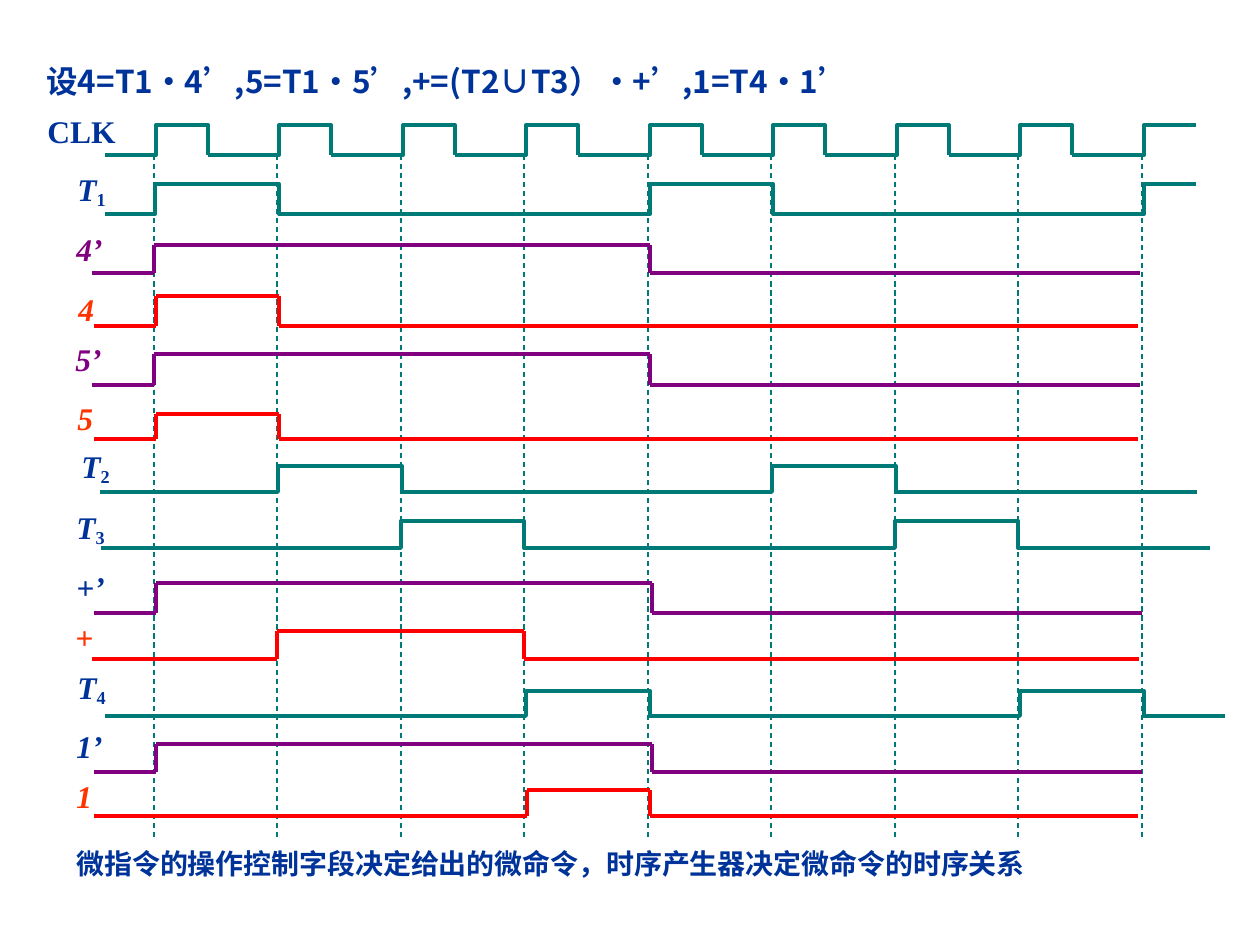
from dataclasses import dataclass

from lxml.etree import SubElement
from pptx import Presentation
from pptx.dml.color import RGBColor
from pptx.enum.dml import MSO_LINE
from pptx.enum.shapes import MSO_CONNECTOR
from pptx.enum.text import MSO_ANCHOR, MSO_AUTO_SIZE
from pptx.oxml.ns import qn
from pptx.util import Emu, Pt

PX = 914400 / 126
TEAL = RGBColor(0x00, 0x7A, 0x77)
PURPLE = RGBColor(0x80, 0x00, 0x80)
RED = RGBColor(0xFF, 0x00, 0x00)
ORANGE = RGBColor(0xFF, 0x33, 0x00)
NAVY = RGBColor(0x00, 0x33, 0x99)
SERIF = "Times New Roman"
CJK = "Noto Sans CJK SC"

CYCLES = 9
CLK_HIGH, CLK_LOW, CLK_PULSE = 125, 155, 52
CLK_LEFT = 156
GRID_BOTTOM = 839


@dataclass
class Label:
    text: str
    x: int
    y: int
    w: int = 60
    color: RGBColor = NAVY
    sub: str = ""
    italic: bool = True


@dataclass
class Beat:
    """A timing signal that toggles at every edge."""
    label: Label
    start: int
    edges: list[int]
    end: int
    high: int
    low: int


@dataclass
class Command:
    """A control signal with a single pulse."""
    label: Label
    color: RGBColor
    start: int
    rise: int
    fall: int
    end: int
    high: int
    low: int


BEATS = [
    Beat(Label("T", 65, 164, sub="1"), 105, [155, 279, 650, 773, 1144], 1196, 184, 214),
    Beat(Label("T", 69, 441, sub="2"), 100, [278, 402, 772, 896], 1197, 466, 492),
    Beat(Label("T", 64, 502, sub="3"), 101, [401, 524, 895, 1018], 1210, 521, 548),
    Beat(Label("T", 65, 662, sub="4"), 105, [526, 650, 1020, 1144], 1225, 691, 716),
]

COMMANDS = [
    Command(Label("4’", 64, 224, color=PURPLE), PURPLE, 92, 154, 650, 1140, 245, 273),
    Command(Label("5’", 63, 334, color=PURPLE), PURPLE, 92, 154, 650, 1140, 354, 385),
    Command(Label("+’", 64, 562), PURPLE, 94, 156, 652, 1142, 583, 613),
    Command(Label("1’", 64, 721), PURPLE, 94, 156, 652, 1142, 744, 772),
    Command(Label("4", 66, 284, 44, ORANGE), RED, 94, 156, 279, 1138, 296, 326),
    Command(Label("5", 65, 393, 44, ORANGE), RED, 94, 156, 279, 1138, 414, 439),
    Command(Label("+", 63, 612, 47, ORANGE), RED, 92, 277, 524, 1139, 631, 659),
    Command(Label("1", 64, 771, 44, ORANGE), RED, 94, 527, 650, 1138, 790, 816),
]


def px(n: int) -> Emu:
    return Emu(round(n * PX))


def clock_x(cycle: int, offset: int) -> int:
    """Cycles are 123.5 px apart."""
    return offset + cycle * 247 // 2


def add_line(s, x1: int, y1: int, x2: int, y2: int, color: RGBColor, width: float):
    line = s.shapes.add_connector(MSO_CONNECTOR.STRAIGHT, px(x1), px(y1), px(x2), px(y2))
    line.line.color.rgb = color
    line.line.width = Pt(width)
    SubElement(line._element.spPr, qn("a:effectLst"))
    return line


def add_trace(s, points: list[tuple[int, int]]) -> None:
    first, *rest = [(px(x), px(y)) for x, y in points]
    builder = s.shapes.build_freeform(*first)
    builder.add_line_segments(rest, close=False)
    sp = builder.convert_to_shape()
    sp.shadow.inherit = False
    sp.fill.background()
    sp.line.color.rgb = TEAL
    sp.line.width = Pt(2.25)


def add_text(s, x: int, y: int, w: int, h: int, text: str, size: int,
             font: str, color: RGBColor, wrap: bool = True):
    tf = s.shapes.add_textbox(px(x), px(y), px(w), px(h)).text_frame
    tf.word_wrap = wrap
    tf.auto_size = MSO_AUTO_SIZE.SHAPE_TO_FIT_TEXT
    p = tf.paragraphs[0]
    p.text = text
    style_run(p.runs[0], size, font, color)
    return tf


def style_run(r, size: int, font: str, color: RGBColor) -> None:
    r.font.size = Pt(size)
    r.font.bold = True
    r.font.color.rgb = color
    r.font.name = font
    SubElement(r._r.get_or_add_rPr(), qn("a:ea")).set("typeface", CJK)


def add_label(s, label: Label) -> None:
    tf = add_text(s, label.x, label.y, label.w, 50, label.text, 18, SERIF, label.color, wrap=False)
    p = tf.paragraphs[0]
    p.runs[0].font.italic = label.italic
    if label.sub:
        r = p.add_run()
        r.text = label.sub
        style_run(r, 18, SERIF, label.color)
        r._r.get_or_add_rPr().set("baseline", "-15000")


def add_beat(s, beat: Beat) -> None:
    level, other = beat.low, beat.high
    points = [(beat.start, level)]
    for x in beat.edges:
        points += [(x, level), (x, other)]
        level, other = other, level
    add_trace(s, points + [(beat.end, level)])
    add_label(s, beat.label)


def add_clock(s) -> None:
    add_label(s, Label("CLK", 35, 106, 104, italic=False))
    for cycle in range(CYCLES):
        rise = clock_x(cycle, CLK_LEFT)
        fall = rise + CLK_PULSE
        start = clock_x(cycle - 1, CLK_LEFT) + CLK_PULSE if cycle else 105
        points = [(start, CLK_LOW), (rise, CLK_LOW), (rise, CLK_HIGH), (fall, CLK_HIGH)]
        if cycle < CYCLES - 1:
            points.append((fall, CLK_LOW))
        add_trace(s, points)


def add_grid(s) -> None:
    for cycle in range(CYCLES):
        x = clock_x(cycle, 154)
        line = add_line(s, x, CLK_LOW, x, GRID_BOTTOM, TEAL, 0.75)
        line.line.dash_style = MSO_LINE.DASH


def add_command(s, c: Command) -> None:
    corners = [(c.start, c.low), (c.rise, c.low), (c.rise, c.high),
               (c.fall, c.high), (c.fall, c.low), (c.end, c.low)]
    for a, b in zip(corners, corners[1:]):
        add_line(s, *a, *b, c.color, 2)
    add_label(s, c.label)


def main() -> None:
    prs = Presentation()
    prs.slide_width, prs.slide_height = px(1260), px(945)
    s = prs.slides.add_slide(prs.slide_layouts[6])
    for beat in BEATS:
        add_beat(s, beat)
    add_clock(s)
    add_grid(s)
    for command in COMMANDS:
        add_command(s, command)
    tf = add_text(s, 34, 56, 1188, 50, "设4=T1·4’,5=T1·5’,+=(T2∪T3）·+’,1=T4·1’", 18, CJK, NAVY)
    tf.vertical_anchor = MSO_ANCHOR.MIDDLE
    add_text(s, 64, 840, 1071, 47,
             "微指令的操作控制字段决定给出的微命令，时序产生器决定微命令的时序关系", 16, "Arial", NAVY)
    prs.save("out.pptx")


if __name__ == "__main__":
    main()
